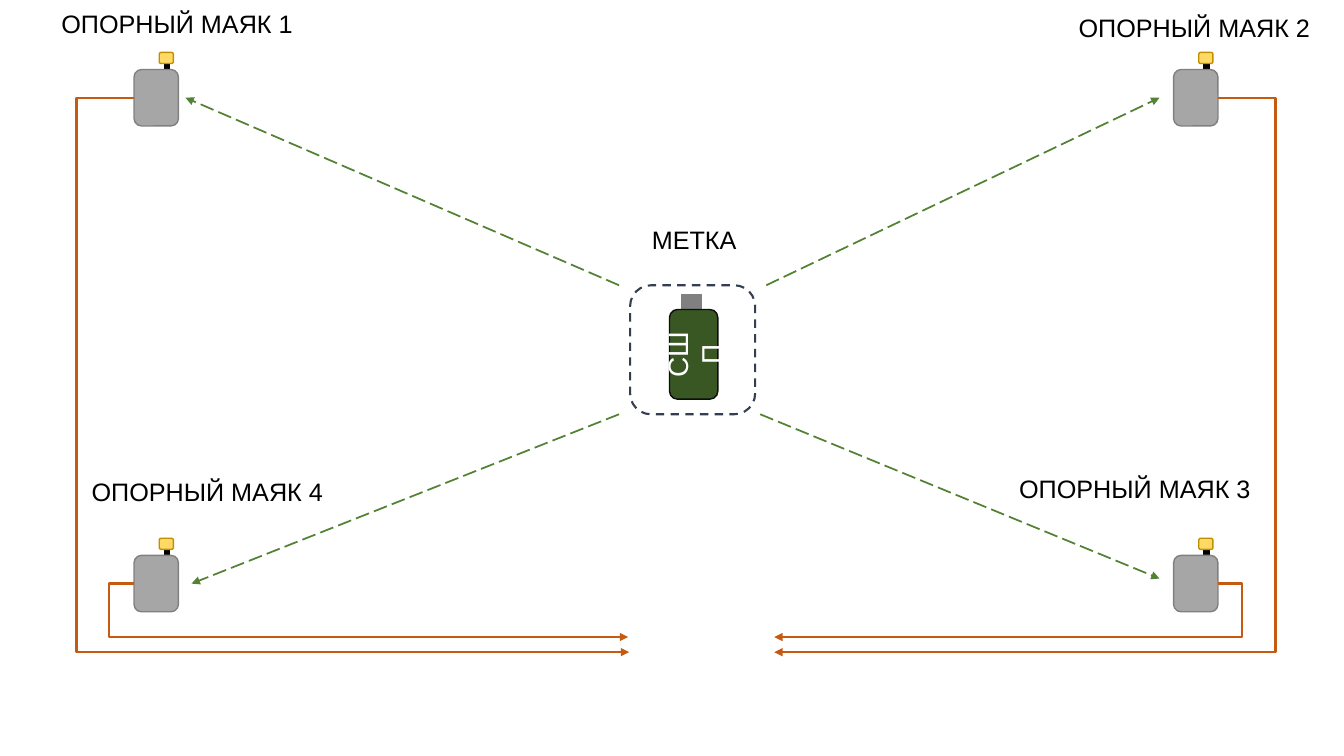
from pptx import Presentation
from pptx.dml.color import RGBColor
from pptx.enum.dml import MSO_LINE_DASH_STYLE as DASH
from pptx.enum.shapes import MSO_CONNECTOR_TYPE as CONN, MSO_AUTO_SHAPE_TYPE as SHAPE
from pptx.enum.text import MSO_ANCHOR, MSO_AUTO_SIZE, PP_ALIGN
from pptx.oxml.ns import qn
from pptx.util import Emu, Pt
from lxml.etree import SubElement

SCALE = 9144
FONT = "Arial"
BLACK = RGBColor(0x00, 0x00, 0x00)
WHITE = RGBColor(0xFF, 0xFF, 0xFF)
NAVY = RGBColor(0x33, 0x3F, 0x50)
GRAY = RGBColor(0x80, 0x80, 0x80)
LIGHT_GRAY = RGBColor(0xA6, 0xA6, 0xA6)
YELLOW = RGBColor(0xFF, 0xD9, 0x66)
GOLD = RGBColor(0xBF, 0x90, 0x00)
DARK_GREEN = RGBColor(0x38, 0x57, 0x23)
NEAR_BLACK = RGBColor(0x0D, 0x0D, 0x0D)
ORANGE = RGBColor(0xC5, 0x5A, 0x11)
GREEN = RGBColor(0x54, 0x82, 0x35)

BODY_W, BODY_TOP, BODY_H = 44, 17, 56
BEACONS = [
    {"at": (133, 52), "label": ("ОПОРНЫЙ МАЯК 1", 51, 3),
     "cable": (76, 624, 647), "signal": (614, 283, 184, 97)},
    {"at": (1164, 52), "label": ("ОПОРНЫЙ МАЯК 2", 1060, 7),
     "cable": (1265, 768, 647), "signal": (760, 283, 1150, 97)},
    {"at": (1164, 534), "label": ("ОПОРНЫЙ МАЯК 3", 1001, 465),
     "cable": (1232, 768, 632), "signal": (754, 411, 1150, 574)},
    {"at": (133, 534), "label": ("ОПОРНЫЙ МАЯК 4", 81, 468),
     "cable": (108, 623, 632), "signal": (614, 411, 190, 579)},
]


def px(n):
    return Emu(n * SCALE)


def add_part(s, kind, x, y, w, h, fill, line):
    sp = s.shapes.add_shape(kind, px(x), px(y), px(w), px(h))
    sp.shadow.inherit = False
    if fill is None:
        sp.fill.background()
    else:
        sp.fill.solid()
        sp.fill.fore_color.rgb = fill
    sp.line.color.rgb = line
    sp.line.width = Pt(1)
    return sp


def style_text(tf, text, size, color, align):
    tf.text = text
    p = tf.paragraphs[0]
    p.alignment = align
    font = p.runs[0].font
    font.name, font.size, font.color.rgb = FONT, Pt(size), color


def add_label(s, text, x, y, w, align=PP_ALIGN.LEFT):
    tf = s.shapes.add_textbox(px(x), px(y), px(w), px(40)).text_frame
    tf.word_wrap = False
    tf.auto_size = MSO_AUTO_SIZE.SHAPE_TO_FIT_TEXT
    style_text(tf, text, 18, BLACK, align)


def add_arrow(s, kind, x1, y1, x2, y2, color, width, dash=None):
    c = s.shapes.add_connector(kind, px(x1), px(y1), px(x2), px(y2))
    c.line.color.rgb = color
    c.line.width = Pt(width)
    if dash is not None:
        c.line.dash_style = dash
    spPr = c._element.spPr
    SubElement(spPr.find(qn("a:ln")), qn("a:tailEnd"), type="triangle")
    SubElement(spPr, qn("a:effectLst"))
    return c


def add_cable(s, x, y, lane_x, end_x, end_y):
    c = add_arrow(s, CONN.ELBOW, x, y, end_x, end_y, ORANGE, 1.75)
    geom = c._element.spPr.find(qn("a:prstGeom"))
    av = geom.find(qn("a:avLst"))
    if av is None:
        av = SubElement(geom, qn("a:avLst"))
    bend = round((lane_x - x) / (end_x - x) * 100000)
    SubElement(av, qn("a:gd"), name="adj1", fmla=f"val {bend}")


def add_beacon(s, x, y):
    add_part(s, SHAPE.RECTANGLE, x + 30, y + 8, 5, 12, BLACK, BLACK)
    add_part(s, SHAPE.ROUNDED_RECTANGLE, x, y + BODY_TOP, BODY_W, BODY_H, LIGHT_GRAY, GRAY)
    add_part(s, SHAPE.ROUNDED_RECTANGLE, x + 25, y, 14, 11, YELLOW, GOLD)


def add_beacon_links(s, beacon):
    x, y = beacon["at"]
    lane_x, end_x, end_y = beacon["cable"]
    start_x = x if lane_x < x else x + BODY_W
    add_cable(s, start_x, y + BODY_TOP + BODY_H // 2, lane_x, end_x, end_y)
    add_arrow(s, CONN.STRAIGHT, *beacon["signal"], GREEN, 1.25, DASH.LONG_DASH)


def add_tag(s, x, y, w, h):
    frame = add_part(s, SHAPE.ROUNDED_RECTANGLE, x, y, w, h, None, NAVY)
    frame.line.width = Pt(1.5)
    frame.line.dash_style = DASH.DASH
    add_part(s, SHAPE.RECTANGLE, x + 51, y + 9, 20, 36, GRAY, GRAY)
    chip = add_part(s, SHAPE.ROUNDED_RECTANGLE, x + 39, y + 24, 48, 89, DARK_GREEN, NEAR_BLACK)
    tf = chip.text_frame
    tf.vertical_anchor = MSO_ANCHOR.MIDDLE
    tf._txBody.bodyPr.set("vert", "vert270")
    style_text(tf, "СШП", 20, WHITE, PP_ALIGN.CENTER)
    add_label(s, "МЕТКА", x + 11, y - 65, 105, PP_ALIGN.CENTER)


def main():
    prs = Presentation()
    prs.slide_width, prs.slide_height = px(1333), px(750)
    s = prs.slides.add_slide(prs.slide_layouts[6])
    add_tag(s, 625, 283, 124, 128)
    for beacon in BEACONS:
        add_beacon(s, *beacon["at"])
        add_beacon_links(s, beacon)
        add_label(s, *beacon["label"], 252)
    prs.save("out.pptx")


if __name__ == "__main__":
    main()
